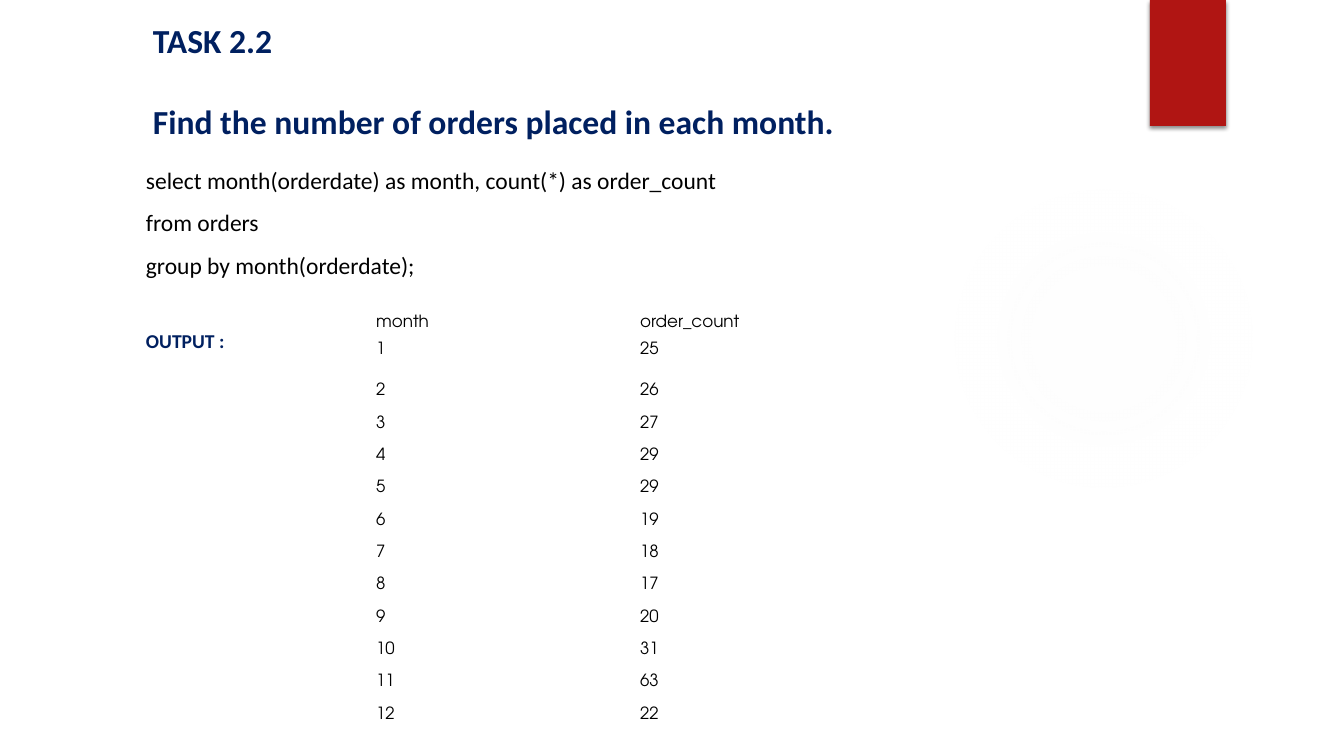
from lxml import etree
from pptx import Presentation
from pptx.dml.color import RGBColor
from pptx.enum.shapes import MSO_SHAPE
from pptx.enum.text import MSO_ANCHOR, MSO_AUTO_SIZE, PP_ALIGN
from pptx.oxml import parse_xml
from pptx.util import Pt

TOP, MIDDLE = MSO_ANCHOR.TOP, MSO_ANCHOR.MIDDLE
NS = "http://schemas.openxmlformats.org/drawingml/2006/main"
COLORS = {"navy": "002060", "black": "000000", "red": "B01513", "glow": "F3F3F3"}
TEXT_FONT, TABLE_FONT = "Calibri", "TeX Gyre Adventor"

TITLE = ["TASK 2.2", "Find the number of orders placed in each month."]
QUERY = [
    "select month(orderdate) as month, count(*) as order_count",
    "from orders",
    "group by month(orderdate);",
]
OUTPUT_LABEL = "OUTPUT :"
HEADERS = ["month", "order_count"]
ORDER_COUNTS = [25, 26, 27, 29, 29, 19, 18, 17, 20, 31, 63, 22]

# Lengths in px
SLIDE = (1344, 756)
GLOW = (949, 184, 310, 310)
RIBBON = (1150, 0, 76, 126)
TITLE_BOX = (136, 15, 1159, 146)
QUERY_BOX = (136, 161, 1159, 176)
TABLE_BOX = (366, 297, 528, 434)
FIRST_ROW = 78
TITLE_INSET = 17
GLOW_STOPS = [(0, 7), (36, 6), (69, 0)]  # position and opacity in percent


def px(n):
    return round(n * 914400 / 100.8)


def box(rect):
    return [px(n) for n in rect]


def add_text(tf, text, size, font=TEXT_FONT, color="black", bold=False, before=0):
    """Fill the first paragraph if it is empty, else append a new one."""
    p = tf.paragraphs[0] if not tf.text else tf.add_paragraph()
    p.alignment = PP_ALIGN.LEFT
    p.line_spacing = 1.0
    p.space_before = Pt(before)
    r = p.add_run()
    r.text = text
    r.font.name, r.font.size, r.font.bold = font, Pt(size), bold
    r.font.color.rgb = RGBColor.from_string(COLORS[color])


def add_plain_shape(s, kind, rect, color):
    sp = s.shapes.add_shape(kind, *box(rect))
    sp.shadow.inherit = False
    sp.fill.solid()
    sp.fill.fore_color.rgb = RGBColor.from_string(COLORS[color])
    sp.line.fill.background()
    return sp


def add_glow(s):
    sp = add_plain_shape(s, MSO_SHAPE.OVAL, GLOW, "glow")
    stops = "".join(
        f'<a:gs pos="{pos * 1000}"><a:srgbClr val="{COLORS["glow"]}">'
        f'<a:alpha val="{alpha * 1000}"/></a:srgbClr></a:gs>'
        for pos, alpha in GLOW_STOPS)
    grad = parse_xml(
        f'<a:gradFill xmlns:a="{NS}"><a:gsLst>{stops}</a:gsLst><a:path path="circle">'
        '<a:fillToRect l="50000" t="50000" r="50000" b="50000"/></a:path></a:gradFill>')
    props = sp.element.spPr
    props.replace(props.find(f"{{{NS}}}solidFill"), grad)


def add_ribbon(s):
    sp = add_plain_shape(s, MSO_SHAPE.RECTANGLE, RIBBON, "red")
    effects = sp.element.spPr.find(f"{{{NS}}}effectLst")
    shadow = etree.SubElement(effects, f"{{{NS}}}outerShdw", blurRad=str(Pt(3)),
                              dist=str(Pt(2)), dir="5400000", rotWithShape="0")
    color = etree.SubElement(shadow, f"{{{NS}}}srgbClr", val=COLORS["black"])
    etree.SubElement(color, f"{{{NS}}}alpha", val="45000")


def add_title(s):
    sp = s.shapes.title
    sp.left, sp.top, sp.width, sp.height = box(TITLE_BOX)
    tf = sp.text_frame
    tf.auto_size, tf.vertical_anchor = MSO_AUTO_SIZE.NONE, TOP
    tf.margin_left = px(TITLE_INSET)
    for i, line in enumerate(TITLE):
        add_text(tf, line, 24, color="navy", bold=True, before=29 * i)


def add_query(s):
    tf = s.shapes.add_textbox(*box(QUERY_BOX)).text_frame
    tf.word_wrap, tf.vertical_anchor = True, TOP
    for i, line in enumerate(QUERY):
        add_text(tf, line, 16.8, before=10 if i else 0)
    add_text(tf, OUTPUT_LABEL, 14, color="navy", bold=True, before=36)


def add_orders_table(s):
    rows, cols = len(ORDER_COUNTS), len(HEADERS)
    table = s.shapes.add_table(rows, cols, *box(TABLE_BOX)).table
    table.first_row = table.horz_banding = False
    for column in table.columns:
        column.width = px(TABLE_BOX[2] / cols)
    for i, count in enumerate(ORDER_COUNTS):
        table.rows[i].height = px((TABLE_BOX[3] - FIRST_ROW) / (rows - 1) if i else FIRST_ROW)
        for j, value in enumerate((i + 1, count)):
            cell = table.cell(i, j)
            cell.fill.background()
            cell.vertical_anchor = MIDDLE
            if i == 0:  # the headers share the first row with month 1
                add_text(cell.text_frame, HEADERS[j], 12, TABLE_FONT)
            add_text(cell.text_frame, str(value), 12, TABLE_FONT, before=0 if i else 8)


def main():
    prs = Presentation()
    prs.slide_width, prs.slide_height = box(SLIDE)
    s = prs.slides.add_slide(prs.slide_layouts[5])
    add_glow(s)
    add_ribbon(s)
    add_title(s)
    add_query(s)
    add_orders_table(s)
    prs.save("out.pptx")


if __name__ == "__main__":
    main()
